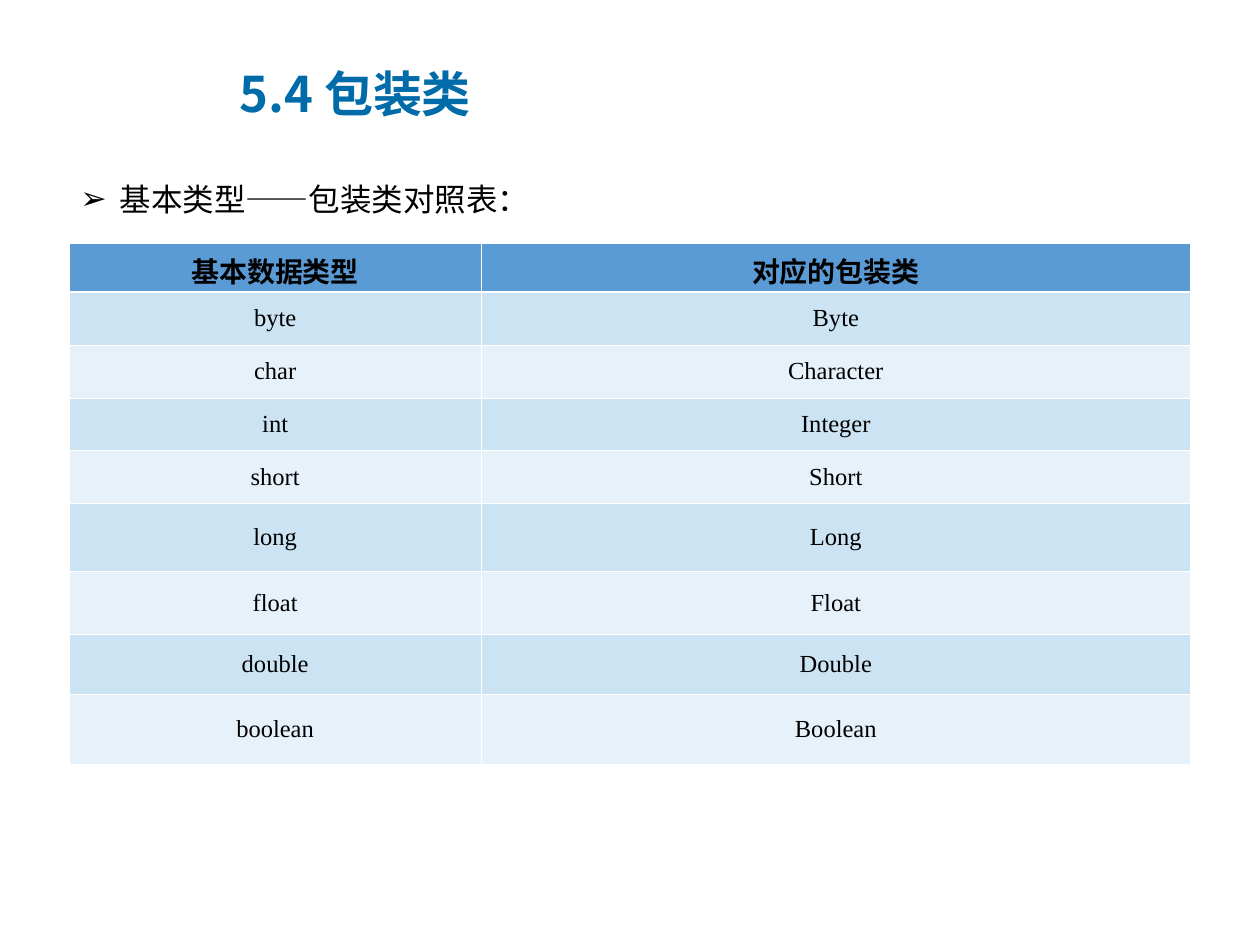
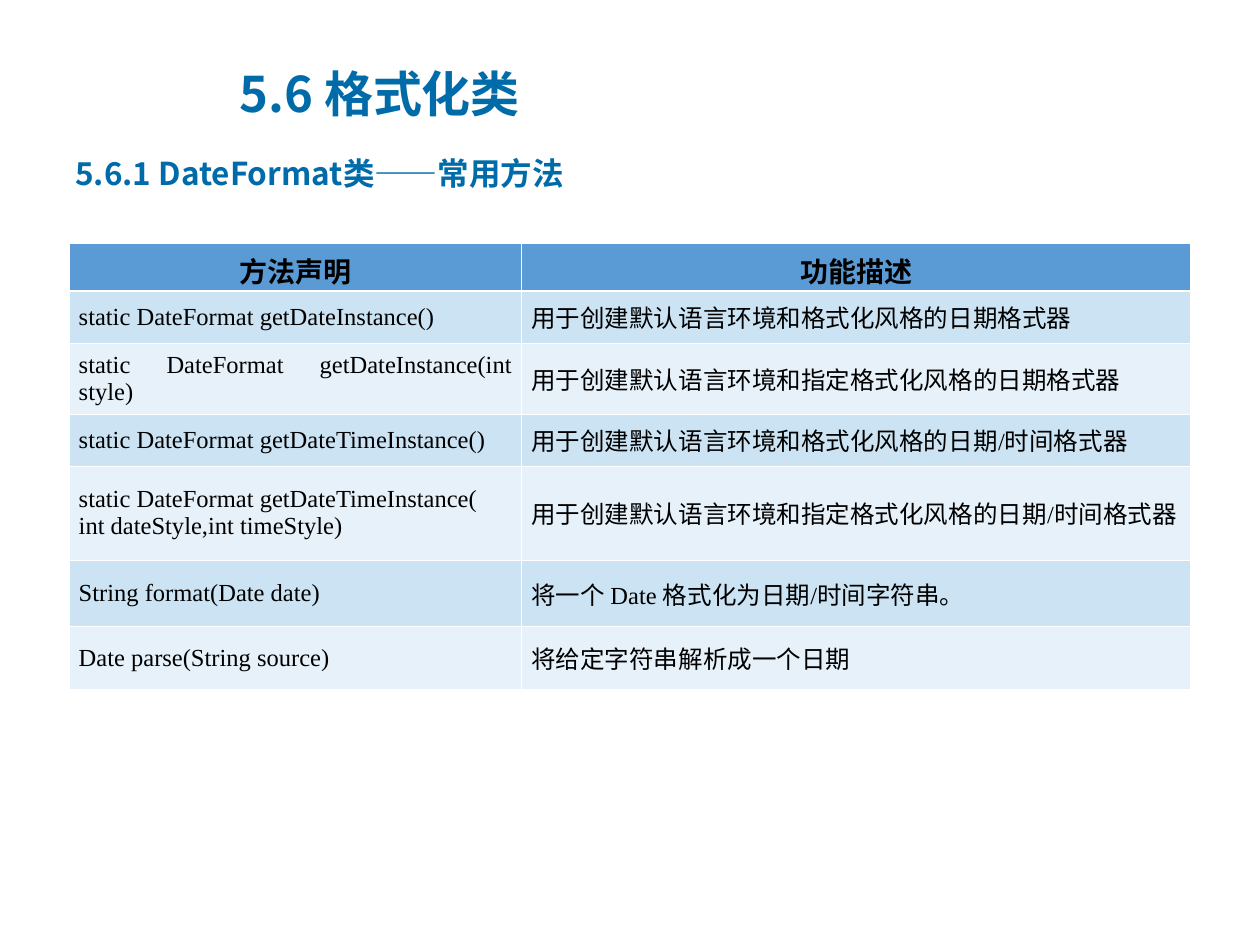
from lxml.etree import SubElement
from pptx import Presentation
from pptx.dml.color import RGBColor
from pptx.enum.text import MSO_ANCHOR, MSO_AUTO_SIZE, PP_ALIGN
from pptx.oxml.ns import qn
from pptx.util import Pt

BLUE = RGBColor(0x00, 0x6B, 0xA9)
BLACK = RGBColor(0x00, 0x00, 0x00)
WHITE = RGBColor(0xFF, 0xFF, 0xFF)
HEAD = RGBColor(0x5B, 0x9B, 0xD5)
BANDS = [RGBColor(0xE7, 0xF1, 0xF9), RGBColor(0xCB, 0xE3, 0xF2)]
SANS, SERIF, ARIAL = "Noto Sans CJK SC", "Times New Roman", "Arial"
THIN, THICK = 0.45, 1.47

TITLE = (129.6, 31, 419.8, 43.9)
POINT = (38.9, 77.8, 642.2, 50.4)
SUB = (36, 84.2, 648, 51.1)
GRID = (39.6, 139.3, 640.8)

TYPES = [
    ("基本数据类型", "对应的包装类"),
    ("byte", "Byte"),
    ("char", "Character"),
    ("int", "Integer"),
    ("short", "Short"),
    ("long", "Long"),
    ("float", "Float"),
    ("double", "Double"),
    ("boolean", "Boolean"),
]
METHODS = [
    ("方法声明", "功能描述"),
    ("static DateFormat getDateInstance()",
     "用于创建默认语言环境和格式化风格的日期格式器"),
    ("static DateFormat getDateInstance(int style)",
     "用于创建默认语言环境和指定格式化风格的日期格式器"),
    ("static DateFormat getDateTimeInstance()",
     "用于创建默认语言环境和格式化风格的日期/时间格式器"),
    ("static DateFormat getDateTimeInstance(\nint dateStyle,int timeStyle)",
     "用于创建默认语言环境和指定格式化风格的日期/时间格式器"),
    ("String format(Date date)", "将一个 Date 格式化为日期/时间字符串。"),
    ("Date parse(String source)", "将给定字符串解析成一个日期"),
]


def write(para, text, size, face, color, bold=False):
    """Add one styled run, with a face for Chinese text."""
    run = para.add_run()
    run.text = text
    font = run.font
    font.size, font.name, font.bold = Pt(size), face, bold
    font.color.rgb = color
    SubElement(run._r.get_or_add_rPr(), qn("a:ea")).set("typeface", SANS)


def place(shape, box):
    """Move a shape into a box given in points."""
    shape.left, shape.top, shape.width, shape.height = map(Pt, box)


def open_slide(deck, text):
    """Add a slide and set its title."""
    slide = deck.slides.add_slide(deck.slide_layouts[5])
    title = slide.shapes.title
    place(title, TITLE)
    frame = title.text_frame
    frame.auto_size = MSO_AUTO_SIZE.NONE
    frame.vertical_anchor = MSO_ANCHOR.MIDDLE
    para = frame.paragraphs[0]
    para.alignment = PP_ALIGN.LEFT
    write(para, text, 28, SANS, BLUE, True)
    return slide


def add_box(slide, box):
    """Add a wrapping text box and return its first paragraph."""
    frame = slide.shapes.add_textbox(*map(Pt, box)).text_frame
    frame.word_wrap = True
    return frame.paragraphs[0]


def add_point(slide, box, text):
    """Add a line with an arrow bullet."""
    para = add_box(slide, box)
    para.line_spacing = 2.0
    props = para._p.get_or_add_pPr()
    props.set("marL", str(Pt(22.5)))
    props.set("indent", str(-Pt(22.5)))
    color = SubElement(props, qn("a:buClr"))
    SubElement(color, qn("a:srgbClr")).set("val", str(BLACK))
    SubElement(props, qn("a:buFont")).set("typeface", ARIAL)
    SubElement(props, qn("a:buChar")).set("char", "➢")
    write(para, text, 18, ARIAL, BLACK)


def add_edges(cell, top, bottom):
    """Draw the white borders of a cell."""
    props = cell._tc.get_or_add_tcPr()
    for side, width in zip("LRTB", (THIN, THIN, top, bottom)):
        line = SubElement(props, qn("a:ln" + side), w=str(Pt(width)))
        fill = SubElement(line, qn("a:solidFill"))
        SubElement(fill, qn("a:srgbClr")).set("val", str(WHITE))


def fill_cell(cell, text, row, align):
    """Style a cell by its row and write its lines."""
    head = row == 0
    add_edges(cell, THICK if row == 1 else THIN, THICK if head else THIN)
    cell.fill.solid()
    cell.fill.fore_color.rgb = HEAD if head else BANDS[row % 2]
    cell.vertical_anchor = MSO_ANCHOR.MIDDLE
    cell.margin_left = cell.margin_right = Pt(5.4)
    frame = cell.text_frame
    for num, line in enumerate(text.split("\n")):
        para = frame.add_paragraph() if num else frame.paragraphs[0]
        para.alignment = PP_ALIGN.CENTER if head else align
        write(para, line, 16 if head else 14, SERIF, BLACK, head)


def add_grid(slide, box, rows, first, heights, align):
    """Add a two-column table with a header and banded rows."""
    left, top, width = box
    size = (left, top, width, sum(heights))
    table = slide.shapes.add_table(len(rows), 2, *map(Pt, size)).table
    for col, span in zip(table.columns, (first, width - first)):
        col.width = Pt(span)
    for row, (texts, height) in enumerate(zip(rows, heights)):
        table.rows[row].height = Pt(height)
        for col, text in enumerate(texts):
            fill_cell(table.cell(row, col), text, row, align)


def build_types(deck):
    """Build the slide on wrapper classes."""
    slide = open_slide(deck, "5.4 包装类")
    add_point(slide, POINT, "基本类型——包装类对照表：")
    heights = [27.7] + [30.2] * 4 + [38.9, 36, 34.3, 39.9]
    add_grid(slide, GRID, TYPES, 235.3, heights, PP_ALIGN.CENTER)


def build_methods(deck):
    """Build the slide on date format methods."""
    slide = open_slide(deck, "5.6 格式化类")
    write(add_box(slide, SUB), "5.6.1 DateFormat类——常用方法", 18, SANS, BLUE, True)
    heights = [27.2, 29.5, 33.8, 29.5, 53.7, 38.2, 36]
    add_grid(slide, GRID, METHODS, 258.6, heights, PP_ALIGN.JUSTIFY)


def main():
    """Build and save the deck."""
    deck = Presentation()
    deck.slide_width, deck.slide_height = Pt(720), Pt(540)
    build_types(deck)
    build_methods(deck)
    deck.save("out.pptx")


if __name__ == "__main__":
    main()
